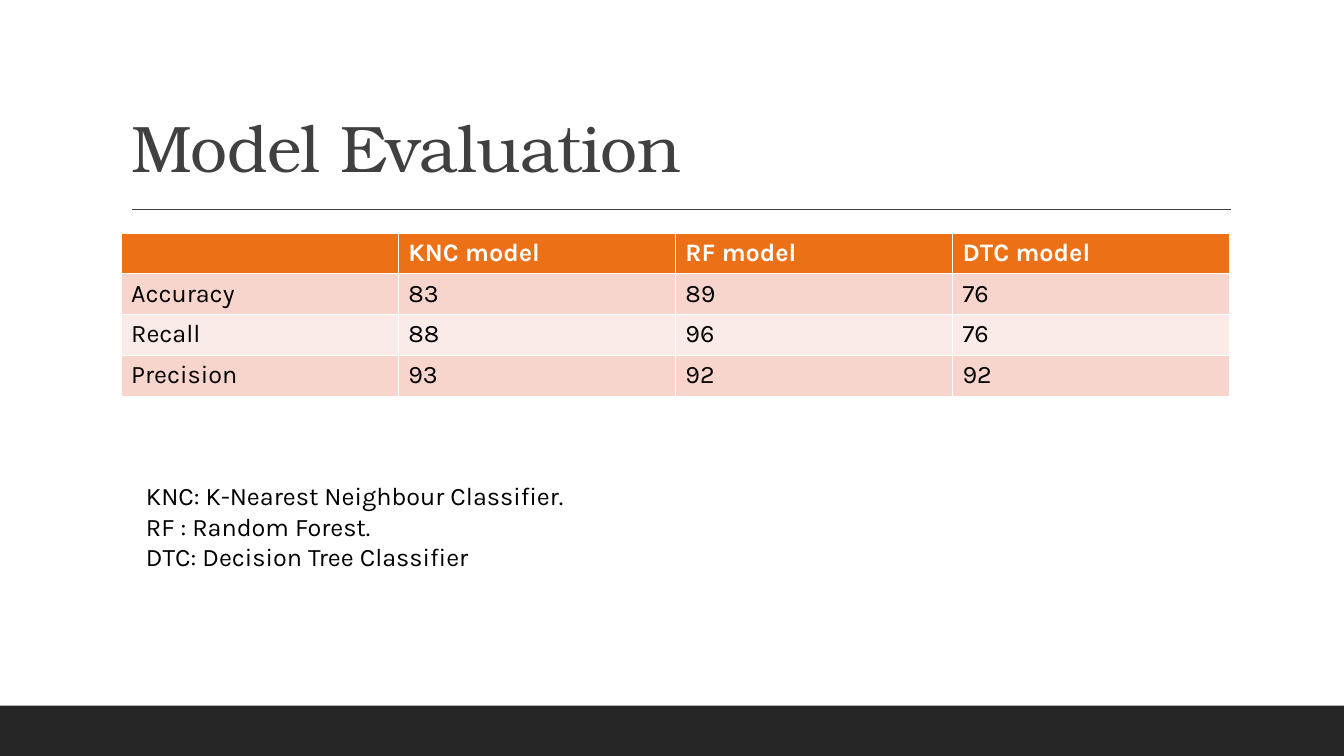
from pptx import Presentation
from pptx.dml.color import RGBColor
from pptx.enum.shapes import MSO_CONNECTOR, MSO_SHAPE
from pptx.enum.text import MSO_ANCHOR, MSO_AUTO_SIZE, PP_ALIGN
from pptx.oxml.ns import qn
from pptx.util import Cm, Pt
from lxml.etree import SubElement

COLORS = {
    "bar": "262626",
    "title": "404040",
    "header": "EC7016",
    "band_dark": "F8D5CC",
    "band_light": "FBEBE8",
    "white": "FFFFFF",
    "black": "000000",
}
TITLE_FONT = "TeX Gyre Bonum"
BODY_FONT = "Karla"
SLIDE_WIDTH, SLIDE_HEIGHT = Cm(33.87), Cm(19.05)

SCORES = [
    ["", "KNC model", "RF model", "DTC model"],
    ["Accuracy", "83", "89", "76"],
    ["Recall", "88", "96", "76"],
    ["Precision", "93", "92", "92"],
]
LEGEND = [
    "KNC: K-Nearest Neighbour Classifier.",
    "RF : Random Forest.",
    "DTC: Decision Tree Classifier",
]


def color(name):
    """Return the named colour."""
    return RGBColor.from_string(COLORS[name])


def add_span(para, text, ink, font=BODY_FONT, size=18, bold=False):
    """Add one formatted run to a paragraph."""
    span = para.add_run()
    span.text = text
    span.font.name = font
    span.font.size = Pt(size)
    span.font.bold = bold
    span.font.color.rgb = color(ink)
    return span


def add_footer_bar(page, left, top, width, height):
    """Draw the dark band along the bottom edge."""
    bar = page.shapes.add_shape(MSO_SHAPE.RECTANGLE, left, top, width, height)
    bar.shadow.inherit = False
    bar.fill.solid()
    bar.fill.fore_color.rgb = color("bar")
    bar.line.fill.background()


def add_heading(page, left, top, width, height):
    """Place the title and the rule below it."""
    title = page.shapes.title
    title.left, title.top, title.width, title.height = left, top, width, height
    frame = title.text_frame
    frame.word_wrap = True
    frame.auto_size = MSO_AUTO_SIZE.NONE
    frame.vertical_anchor = MSO_ANCHOR.BOTTOM
    para = frame.paragraphs[0]
    para.alignment = PP_ALIGN.LEFT
    para.line_spacing = 0.9
    span = add_span(para, "Model Evaluation", "title", TITLE_FONT, 47)
    span.font._element.set("spc", "-50")

    rule_y = top + height + Cm(0.45)
    rule = page.shapes.add_connector(
        MSO_CONNECTOR.STRAIGHT, left + Cm(0.28), rule_y, left + width + Cm(0.02), rule_y)
    rule.line.color.rgb = color("title")
    rule.line.width = Pt(1)
    SubElement(rule._element.spPr, qn("a:effectLst"))


def add_scores(page, left, top, width, height):
    """Fill the table of scores with a header and banded rows."""
    table = page.shapes.add_table(
        len(SCORES), len(SCORES[0]), left, top, width, height).table
    for row_index, values in enumerate(SCORES):
        is_header = row_index == 0
        band = "band_dark" if row_index % 2 else "band_light"
        for column_index, value in enumerate(values):
            cell = table.cell(row_index, column_index)
            cell.fill.solid()
            cell.fill.fore_color.rgb = color("header" if is_header else band)
            if value:
                add_span(cell.text_frame.paragraphs[0], value,
                         "white" if is_header else "black", bold=is_header)


def add_legend(page, left, top, width, height):
    """Spell out the model abbreviations, one a line."""
    frame = page.shapes.add_textbox(left, top, width, height).text_frame
    frame.word_wrap = True
    for index, text in enumerate(LEGEND):
        para = frame.add_paragraph() if index else frame.paragraphs[0]
        add_span(para, text, "black")


def main():
    """Build the slide and save it."""
    deck = Presentation()
    deck.slide_width, deck.slide_height = SLIDE_WIDTH, SLIDE_HEIGHT
    page = deck.slides.add_slide(deck.slide_layouts[5])
    bar_height = Cm(1.27)
    add_footer_bar(page, 0, SLIDE_HEIGHT - bar_height, SLIDE_WIDTH, bar_height)
    add_heading(page, Cm(3.05), Cm(0.79), Cm(27.94), Cm(4.04))
    add_scores(page, Cm(3.05), Cm(5.87), Cm(27.94), Cm(4.11))
    add_legend(page, Cm(3.43), Cm(11.99), Cm(23.24), Cm(3.33))
    deck.save("out.pptx")


if __name__ == "__main__":
    main()
